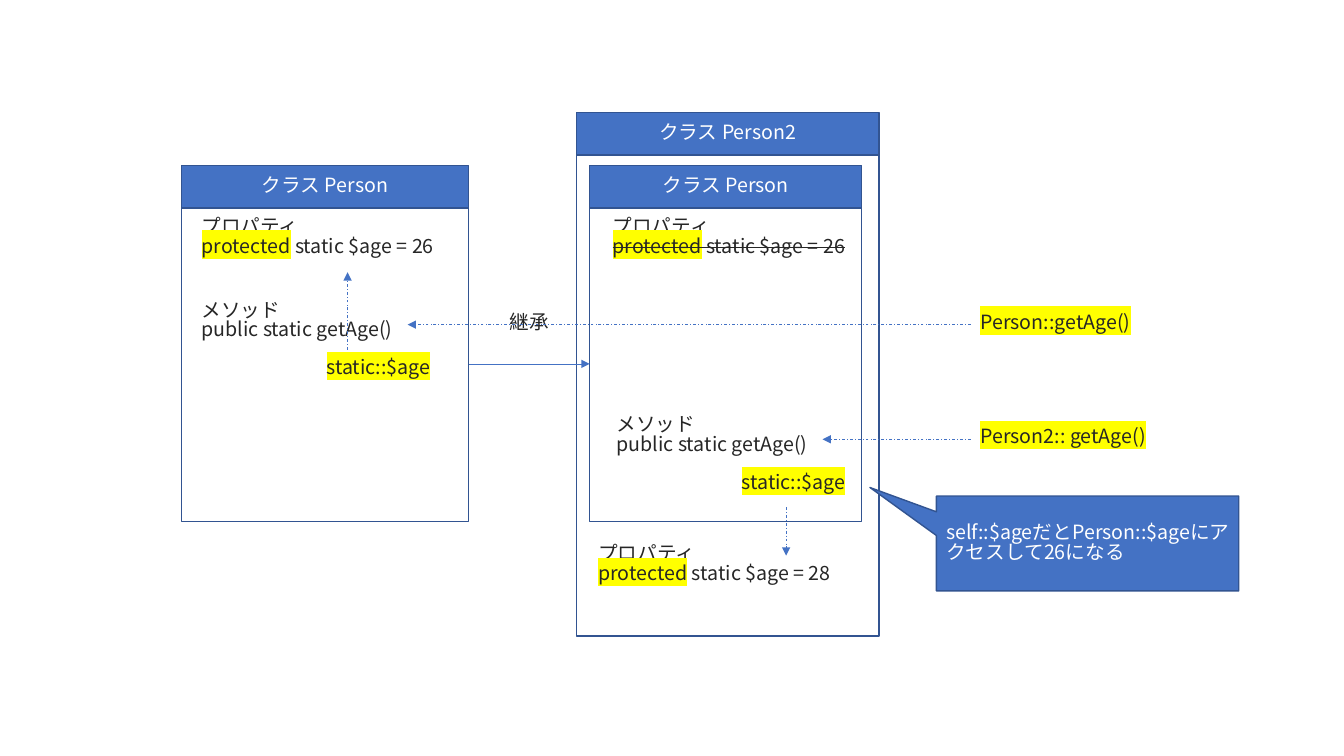
from lxml import etree
from pptx import Presentation
from pptx.dml.color import RGBColor
from pptx.enum.dml import MSO_LINE
from pptx.enum.shapes import MSO_CONNECTOR, MSO_SHAPE
from pptx.enum.text import MSO_ANCHOR, MSO_AUTO_SIZE, PP_ALIGN
from pptx.oxml.ns import qn
from pptx.util import Cm, Pt

RECTANGLE, CALLOUT = MSO_SHAPE.RECTANGLE, MSO_SHAPE.RECTANGULAR_CALLOUT
STRAIGHT, DASH_DOT = MSO_CONNECTOR.STRAIGHT, MSO_LINE.DASH_DOT
LEFT, CENTER, MIDDLE = PP_ALIGN.LEFT, PP_ALIGN.CENTER, MSO_ANCHOR.MIDDLE
FIT_SHAPE = MSO_AUTO_SIZE.SHAPE_TO_FIT_TEXT

THEME = {
    "font": "Noto Sans CJK JP",
    "size": Pt(14),
    "spacing": 0.84,
    "blue": RGBColor(0x44, 0x72, 0xC4),
    "border": RGBColor(0x32, 0x54, 0x91),
    "ink": RGBColor(0x26, 0x26, 0x26),
    "white": RGBColor(0xFF, 0xFF, 0xFF),
    "highlight": "FFFF00",
    "box_line": Pt(1),
    "arrow_line": Pt(0.5),
}

presentation = Presentation()
presentation.slide_width, presentation.slide_height = Cm(33.87), Cm(19.05)
slide = presentation.slides.add_slide(presentation.slide_layouts[6])


def add_text(text, left, top, width, height, shape_type=None, filled=True,
             marked="", strike=False, wrap=False, align=LEFT):
    """Add a box or a text box; the marked words at a line start are highlighted."""
    area = Cm(left), Cm(top), Cm(width), Cm(height)
    if shape_type is None:
        shape = slide.shapes.add_textbox(*area)
        color = THEME["ink"]
    else:
        shape = slide.shapes.add_shape(shape_type, *area)
        shape.shadow.inherit = False
        shape.line.color.rgb = THEME["border"]
        shape.line.width = THEME["box_line"]
        if filled:
            shape.fill.solid()
            shape.fill.fore_color.rgb = THEME["blue"]
        else:
            shape.fill.background()
        color = THEME["white"]
    frame = shape.text_frame
    frame.word_wrap = wrap
    if shape_type is None:
        frame.auto_size = FIT_SHAPE
    else:
        frame.vertical_anchor = MIDDLE
    for index, line in enumerate(text.split("\n") if text else []):
        paragraph = frame.paragraphs[0] if index == 0 else frame.add_paragraph()
        paragraph.alignment = align
        paragraph.line_spacing = THEME["spacing"]
        has_mark = bool(marked) and line.startswith(marked)
        parts = [marked, line[len(marked):]] if has_mark else [line]
        for part_index, part in enumerate(parts):
            if not part:
                continue
            run = paragraph.add_run()
            run.text = part
            run.font.size = THEME["size"]
            run.font.name = THEME["font"]
            run.font.color.rgb = color
            properties = run.font._element
            latin = properties.find(qn("a:latin"))
            east_asian = etree.Element(qn("a:ea"), typeface=THEME["font"])
            latin.addnext(east_asian)
            if has_mark and part_index == 0:
                highlight = etree.Element(qn("a:highlight"))
                etree.SubElement(highlight, qn("a:srgbClr"), val=THEME["highlight"])
                latin.addprevious(highlight)
            if has_mark and strike:
                properties.set("strike", "sngStrike")
    return shape


def add_arrow(start_x, start_y, end_x, end_y, dash=DASH_DOT):
    connector = slide.shapes.add_connector(
        STRAIGHT, Cm(start_x), Cm(start_y), Cm(end_x), Cm(end_y))
    connector.line.color.rgb = THEME["blue"]
    connector.line.width = THEME["arrow_line"]
    if dash is not None:
        connector.line.dash_style = dash
    etree.SubElement(connector.line._get_or_add_ln(), qn("a:tailEnd"), type="triangle")
    etree.SubElement(connector._element.spPr, qn("a:effectLst"))


# Class boxes: title, left, top, width, body height
HEADER_HEIGHT = 1.07
classes = [
    ("クラス Person2", 14.53, 2.84, 7.62, 12.12),
    ("クラス Person", 4.57, 4.17, 7.24, 7.9),
    ("クラス Person", 14.86, 4.17, 6.86, 7.9),
]
for title, left, top, width, body_height in classes:
    add_text("", left, top + HEADER_HEIGHT, width, body_height, RECTANGLE, filled=False)
    add_text(title, left, top, width, HEADER_HEIGHT, RECTANGLE, wrap=True, align=CENTER)

# Properties: left, top, age, struck out
properties_by_class = [
    (4.83, 5.36, 26, False),
    (15.19, 5.36, 26, True),
    (14.83, 13.61, 28, False),
]
for left, top, age, strike in properties_by_class:
    add_text(f"プロパティ\nprotected static $age = {age}", left, top, 6.6, 1.45,
             marked="protected", strike=strike)

# Inheritance
add_arrow(11.81, 9.17, 14.86, 9.17, dash=None)
add_text("継承", 12.6, 7.77, 1.5, 0.86)

# Methods with their calls: left, top, call, call width
CALL_LEFT, METHOD_WIDTH = 24.46, 5.44
methods = [
    (4.83, 7.47, "Person::getAge()", 4.39),
    (15.29, 10.36, "Person2:: getAge()", 4.83),
]
for left, top, call, call_width in methods:
    add_text("メソッド\npublic static getAge()", left, top, METHOD_WIDTH, 1.45)
    add_text("static::$age", left + 3.15, top + 1.45, METHOD_WIDTH, 0.86,
             marked="static::$age", wrap=True)
    add_text(call, CALL_LEFT, top + 0.3, call_width, 0.86, marked=call)
    add_arrow(CALL_LEFT, top + 0.71, left + METHOD_WIDTH, top + 0.71)

# Access to the property
add_arrow(8.76, 8.81, 8.76, 6.86)
add_arrow(19.81, 12.78, 19.81, 14)

# Callout
callout = add_text("self::$ageだとPerson::$ageにアクセスして26になる",
                   23.6, 12.5, 7.62, 2.39, CALLOUT, wrap=True)
callout.adjustments[0], callout.adjustments[1] = -0.72, -0.59

presentation.save("out.pptx")
